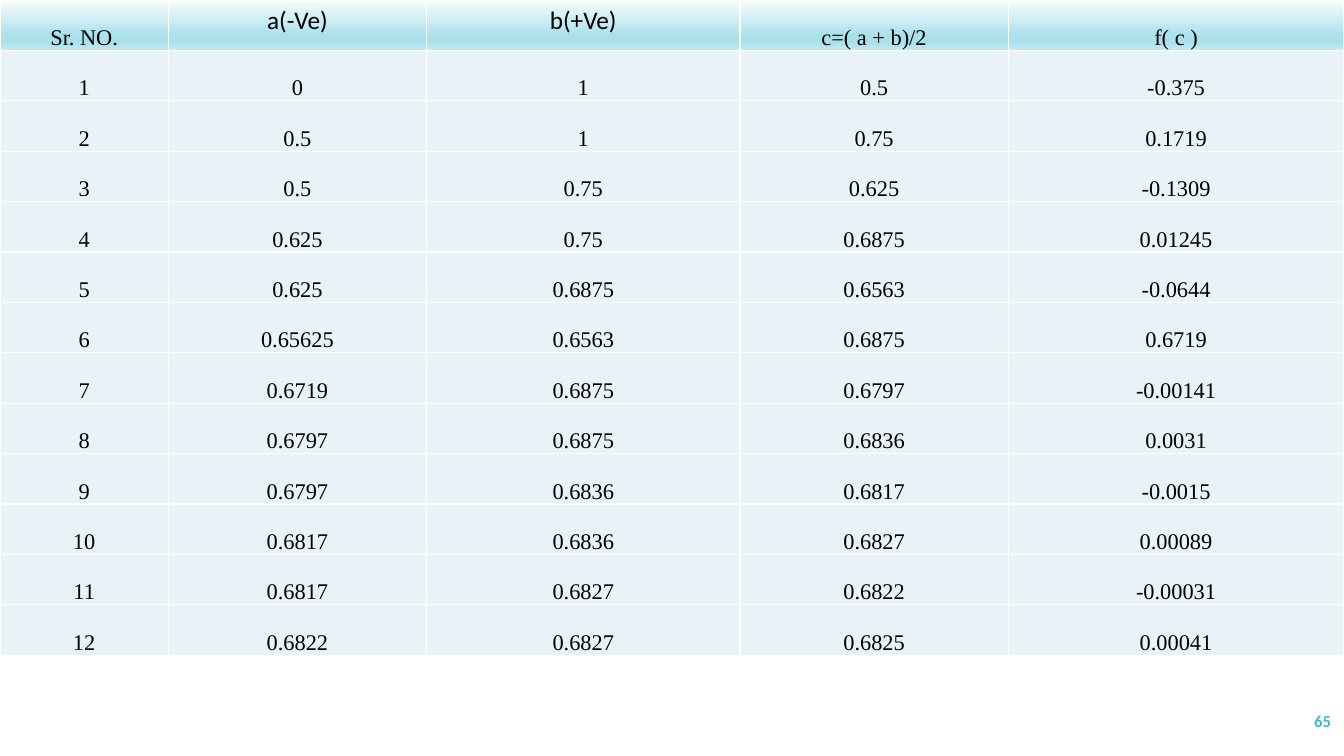
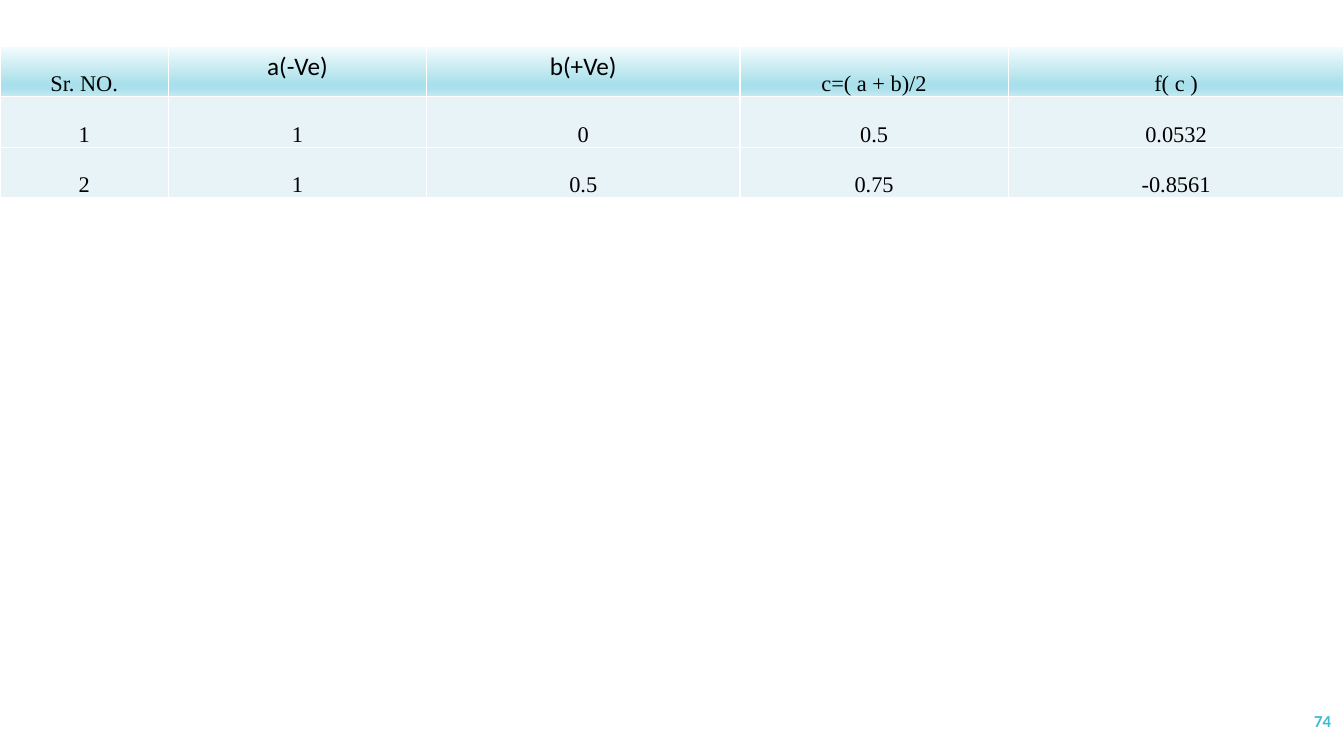
"""Build two slides with iteration tables for the bisection method."""
from pptx import Presentation
from pptx.dml.color import RGBColor
from pptx.enum.text import MSO_ANCHOR as ANCHOR, PP_ALIGN as ALIGN
from pptx.oxml import parse_xml
from pptx.oxml.ns import nsdecls
from pptx.util import Pt

PX = 9144
BLACK, WHITE, ACCENT, BODY = "000000", "FFFFFF", "40BAD2", "E8F3F7"
HEADER_STOPS = [(0, "F5FCFD"), (74, "A9E0EB"), (83, "A9E0EB"), (100, "C6EAF1")]
SERIF, SANS = "Times New Roman", "Calibri"
COLS = [167, 256, 311, 266, 333]
ROW_H = 50
HEADER = ["Sr. NO.", "a(-Ve)", "b(+Ve)", "c=( a + b)/2", "f( c )"]

SLIDES = [
    (0, "65", [
        ("0", "1", "0.5", "-0.375"),
        ("0.5", "1", "0.75", "0.1719"),
        ("0.5", "0.75", "0.625", "-0.1309"),
        ("0.625", "0.75", "0.6875", "0.01245"),
        ("0.625", "0.6875", "0.6563", "-0.0644"),
        ("0.65625", "0.6563", "0.6875", "0.6719"),
        ("0.6719", "0.6875", "0.6797", "-0.00141"),
        ("0.6797", "0.6875", "0.6836", "0.0031"),
        ("0.6797", "0.6836", "0.6817", "-0.0015"),
        ("0.6817", "0.6836", "0.6827", "0.00089"),
        ("0.6817", "0.6827", "0.6822", "-0.00031"),
        ("0.6822", "0.6827", "0.6825", "0.00041"),
    ]),
    (46, "74", [
        ("1", "0", "0.5", "0.0532"),
        ("1", "0.5", "0.75", "-0.8561"),
    ]),
]


def rgb(color):
    return RGBColor.from_string(color)


def write(tf, text, font, size, color, align, bold=False):
    tf.text = text
    p = tf.paragraphs[0]
    p.alignment = align
    f = p.runs[0].font
    f.name, f.size, f.bold = font, Pt(size), bold
    f.color.rgb = rgb(color)


stops = "".join(f'<a:gs pos="{pos * 1000}"><a:srgbClr val="{color}"/></a:gs>'
                for pos, color in HEADER_STOPS)
gradient = (f'<a:gradFill {nsdecls("a")} rotWithShape="1"><a:gsLst>{stops}</a:gsLst>'
            '<a:lin ang="5400000" scaled="0"/></a:gradFill>')

prs = Presentation()
prs.slide_width, prs.slide_height = 1333 * PX, 750 * PX

for top, number, values in SLIDES:
    s = prs.slides.add_slide(prs.slide_layouts[6])
    rows = [HEADER] + [(str(i), *row) for i, row in enumerate(values, 1)]
    table = s.shapes.add_table(len(rows), len(COLS), 0, top * PX,
                               sum(COLS) * PX, len(rows) * ROW_H * PX).table
    table.first_row = table.horz_banding = False
    for col, width in zip(table.columns, COLS):
        col.width = width * PX

    for r, row in enumerate(rows):
        table.rows[r].height = ROW_H * PX
        for c, text in enumerate(row):
            cell = table.cell(r, c)
            tcPr = cell._tc.get_or_add_tcPr()
            for side in "LRTB":
                tcPr.append(parse_xml(
                    f'<a:ln{side} {nsdecls("a")} w="12700"><a:solidFill>'
                    f'<a:srgbClr val="{WHITE}"/></a:solidFill></a:ln{side}>'))
            if r == 0:
                tcPr.append(parse_xml(gradient))
            else:
                cell.fill.solid()
                cell.fill.fore_color.rgb = rgb(BODY)
            if r == 0 and c in (1, 2):
                write(cell.text_frame, text, SANS, 18, BLACK, ALIGN.CENTER)
            else:
                write(cell.text_frame, text, SERIF, 16, BLACK, ALIGN.CENTER)
                cell.vertical_anchor = ANCHOR.BOTTOM
                cell.margin_left = cell.margin_right = cell.margin_top = PX
                cell.margin_bottom = 0

    sp = s.shapes.add_textbox(1163 * PX, 695 * PX, 167 * PX, 40 * PX)
    tf = sp.text_frame
    tf.word_wrap = True
    tf.vertical_anchor = ANCHOR.MIDDLE
    write(tf, number, SANS, 12, ACCENT, ALIGN.RIGHT, bold=True)

prs.save("out.pptx")
